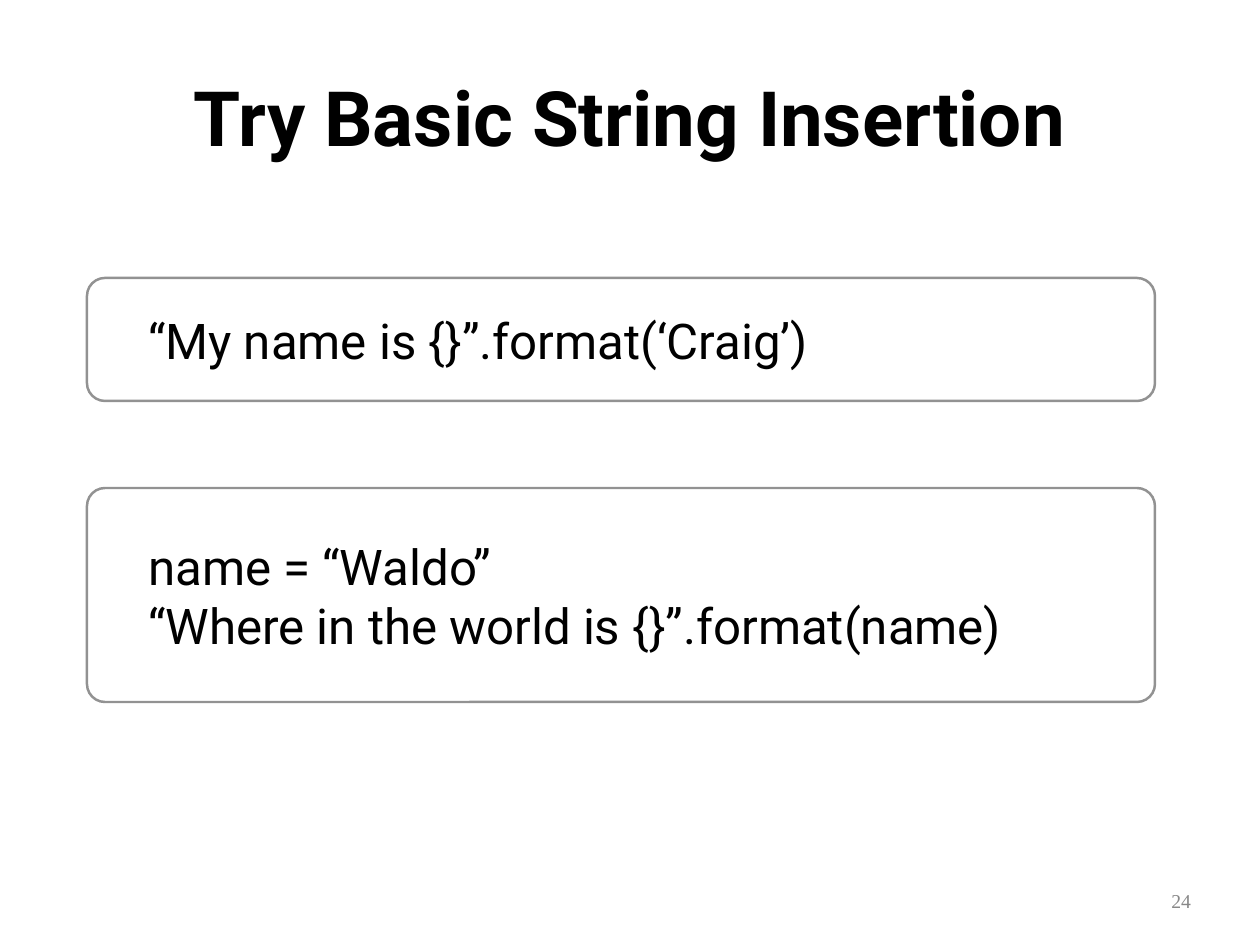
from pptx import Presentation
from pptx.dml.color import RGBColor
from pptx.enum.shapes import MSO_SHAPE
from pptx.enum.text import MSO_ANCHOR, PP_ALIGN
from pptx.util import Emu, Pt

ROUNDED = MSO_SHAPE.ROUNDED_RECTANGLE
MIDDLE = MSO_ANCHOR.MIDDLE
LEFT, CENTER, RIGHT = PP_ALIGN.LEFT, PP_ALIGN.CENTER, PP_ALIGN.RIGHT

EMU_PER_PX = 10320
COLORS = {"text": "000000", "number": "888888", "border": "929292"}


def px(length):
    return Emu(length * EMU_PER_PX)


class SlideBuilder:
    body_font = "Roboto"
    number_font = "Times New Roman"
    inset = 6
    corner_radius = 18
    code_indent = 50

    def __init__(self, presentation):
        self.slide = presentation.slides.add_slide(presentation.slide_layouts[6])

    def set_text(self, shape, lines, size, font, color, align, bold=False, indent=0):
        frame = shape.text_frame
        frame.word_wrap = True
        frame.vertical_anchor = MIDDLE
        frame.margin_left = frame.margin_right = px(self.inset)
        frame.margin_top = frame.margin_bottom = px(self.inset)
        frame.text = "\n".join(lines)
        for paragraph in frame.paragraphs:
            paragraph.alignment = align
            if indent:
                properties = paragraph._p.get_or_add_pPr()
                properties.set("marL", "0")
                properties.set("indent", str(px(indent)))
            paragraph.font.name = font
            paragraph.font.size = Pt(size)
            paragraph.font.bold = bold
            paragraph.font.color.rgb = RGBColor.from_string(COLORS[color])

    def text_box(self, left, top, width, height):
        return self.slide.shapes.add_textbox(px(left), px(top), px(width), px(height))

    def title(self, text, left, top, width, height):
        shape = self.text_box(left, top, width, height)
        self.set_text(shape, [text], 62, self.body_font, "text", CENTER, bold=True)

    def slide_number(self, text, left, top, width, height):
        shape = self.text_box(left, top, width, height)
        self.set_text(shape, [text], 16, self.number_font, "number", RIGHT)

    def code_box(self, lines, left, top, width, height):
        shape = self.slide.shapes.add_shape(
            ROUNDED, px(left), px(top), px(width), px(height))
        shape.adjustments[0] = self.corner_radius / height
        shape.shadow.inherit = False
        shape.fill.background()
        shape.line.color.rgb = RGBColor.from_string(COLORS["border"])
        shape.line.width = Pt(2)
        self.set_text(shape, lines, 40, self.body_font, "text", LEFT,
                      indent=self.code_indent)


def main():
    presentation = Presentation()
    presentation.slide_width = px(1260)
    presentation.slide_height = px(945)

    builder = SlideBuilder(presentation)
    builder.title("Try Basic String Insertion", 63, 12, 1134, 208)
    builder.slide_number("24", 903, 883, 294, 36)
    builder.code_box(["“My name is {}”.format(‘Craig’)"], 87, 278, 1068, 123)
    builder.code_box(["name = “Waldo”", "“Where in the world is {}”.format(name)"],
                     87, 488, 1068, 214)
    presentation.save("out.pptx")


if __name__ == "__main__":
    main()
